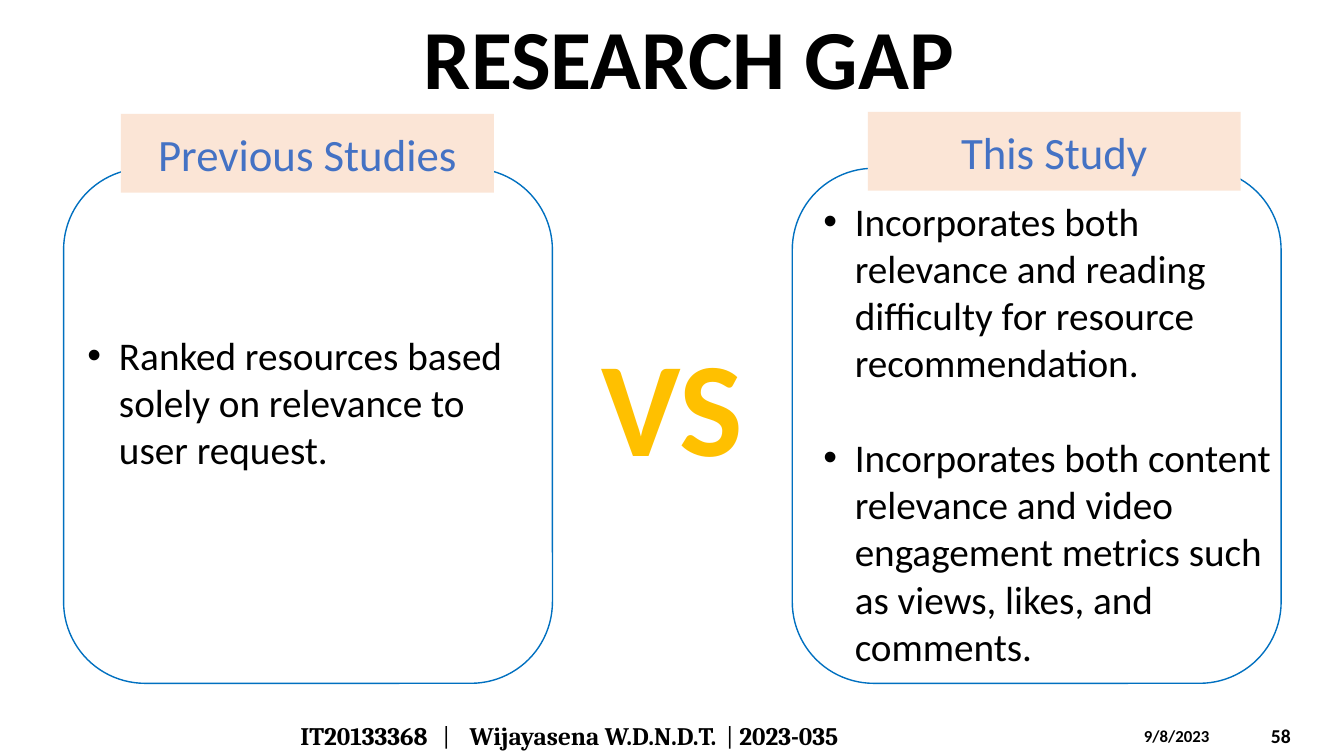
from dataclasses import dataclass

from lxml import etree
from pptx import Presentation
from pptx.dml.color import RGBColor
from pptx.enum.shapes import MSO_SHAPE
from pptx.enum.text import MSO_ANCHOR, PP_ALIGN
from pptx.oxml.ns import qn
from pptx.shapes.autoshape import Shape
from pptx.slide import Slide
from pptx.util import Pt

BLACK = RGBColor(0x00, 0x00, 0x00)
BLUE_LINE = RGBColor(0x00, 0x70, 0xC0)
BLUE_TEXT = RGBColor(0x44, 0x72, 0xC4)
PEACH = RGBColor(0xFB, 0xE5, 0xD6)
GOLD = RGBColor(0xFF, 0xC0, 0x00)

RECTANGLE = MSO_SHAPE.RECTANGLE
ROUNDED = MSO_SHAPE.ROUNDED_RECTANGLE
LEFT, CENTER = PP_ALIGN.LEFT, PP_ALIGN.CENTER
TOP, MIDDLE = MSO_ANCHOR.TOP, MSO_ANCHOR.MIDDLE

BULLET_INDENT = Pt(22.5)
BULLET_GAP = Pt(34.2)
FOOTER_TABS = (101.5, 121, 304)


@dataclass(frozen=True)
class Area:
    left: float
    top: float
    width: float
    height: float


@dataclass(frozen=True)
class Label:
    text: str
    area: Area
    size: float
    color: RGBColor = BLACK
    bold: bool = True
    align: PP_ALIGN = LEFT
    anchor: MSO_ANCHOR = TOP
    spacing: float = 1.0


@dataclass(frozen=True)
class Panel:
    heading: str
    heading_area: Area
    frame_area: Area
    text_area: Area
    points: tuple[str, ...]


TITLE = Label("RESEARCH GAP", Area(77.8, 8.6, 828.7, 70.6), 60, align=CENTER, spacing=0.9)
VERSUS = Label("VS", Area(420.5, 226.8, 119.5, 123.8), 96, GOLD, align=CENTER)
SLIDE_NUMBER = Label("58", Area(900.7, 511.2, 53.3, 28.8), 14, anchor=MIDDLE)
DATE = Label("9/8/2023", Area(810, 514.8, 84.2, 21.6), 12)
FOOTER_AREA = Area(207.4, 511.2, 536.4, 28.8)
FOOTER_SPANS = (
    ("IT20133368", True),
    ("\t|\t", False),
    ("Wijayasena W.D.N.D.T.", True),
    ("\t| ", False),
    ("2023-035", True),
)

PANELS = (
    Panel(
        "Previous Studies",
        Area(86.4, 81.4, 266.4, 56.2),
        Area(45.4, 120.2, 349.2, 367.9),
        Area(55.4, 233.3, 323.3, 108.7),
        ("Ranked resources based solely on relevance to user request.",),
    ),
    Panel(
        "This Study",
        Area(619.9, 79.9, 266.4, 56.2),
        Area(565.9, 120.2, 349.2, 367.9),
        Area(581, 137.5, 341.3, 380.2),
        (
            "Incorporates both relevance and reading difficulty for resource recommendation.",
            "Incorporates both content relevance and video engagement metrics "
            "such as views, likes, and comments.",
        ),
    ),
)


def style_font(font, size: float, color: RGBColor, bold: bool, name: str = "Calibri") -> None:
    font.name = name
    font.size = Pt(size)
    font.bold = bold
    font.color.rgb = color


def add_box(page: Slide, area: Area, anchor: MSO_ANCHOR = TOP) -> Shape:
    box = page.shapes.add_textbox(
        Pt(area.left), Pt(area.top), Pt(area.width), Pt(area.height))
    box.text_frame.word_wrap = True
    box.text_frame.vertical_anchor = anchor
    return box


def add_block(page: Slide, kind: MSO_SHAPE, area: Area) -> Shape:
    block = page.shapes.add_shape(
        kind, Pt(area.left), Pt(area.top), Pt(area.width), Pt(area.height))
    block.shadow.inherit = False
    return block


def fill_label(box: Shape, label: Label) -> None:
    frame = box.text_frame
    frame.text = label.text
    frame.vertical_anchor = label.anchor
    para = frame.paragraphs[0]
    para.alignment = label.align
    para.line_spacing = label.spacing
    style_font(para.runs[0].font, label.size, label.color, label.bold)


def add_label(page: Slide, label: Label) -> None:
    fill_label(add_box(page, label.area), label)


def add_frame(page: Slide, area: Area) -> None:
    frame = add_block(page, ROUNDED, area)
    frame.fill.background()
    frame.line.color.rgb = BLUE_LINE
    frame.line.width = Pt(1)


def add_heading(page: Slide, panel: Panel) -> None:
    block = add_block(page, RECTANGLE, panel.heading_area)
    block.fill.solid()
    block.fill.fore_color.rgb = PEACH
    block.line.fill.background()
    fill_label(block, Label(panel.heading, panel.heading_area, 32, BLUE_TEXT,
                            bold=False, align=CENTER, anchor=MIDDLE))


def add_points(page: Slide, panel: Panel) -> None:
    frame = add_box(page, panel.text_area).text_frame
    frame.text = "\n".join(panel.points)
    for index, para in enumerate(frame.paragraphs):
        properties = para._p.get_or_add_pPr()
        properties.set("marL", str(BULLET_INDENT))
        properties.set("indent", str(-BULLET_INDENT))
        etree.SubElement(properties, qn("a:buFont"), typeface="Arial")
        etree.SubElement(properties, qn("a:buChar"), char="•")
        if index:
            para.space_before = BULLET_GAP
        style_font(para.runs[0].font, 28, BLACK, False)


def add_footer(page: Slide) -> None:
    para = add_box(page, FOOTER_AREA, MIDDLE).text_frame.paragraphs[0]
    stops = etree.SubElement(para._p.get_or_add_pPr(), qn("a:tabLst"))
    for position in FOOTER_TABS:
        etree.SubElement(stops, qn("a:tab"), pos=str(Pt(position)), algn="l")
    for text, bold in FOOTER_SPANS:
        span = para.add_run()
        span.text = text
        style_font(span.font, 18, BLACK, bold, "Cambria")


def main() -> None:
    deck = Presentation()
    deck.slide_width, deck.slide_height = Pt(960), Pt(540)
    page = deck.slides.add_slide(deck.slide_layouts[6])

    # Footer line and title
    add_label(page, SLIDE_NUMBER)
    add_label(page, DATE)
    add_footer(page)
    add_label(page, TITLE)

    # Two compared panels
    for panel in PANELS:
        add_frame(page, panel.frame_area)
    add_label(page, VERSUS)
    for panel in PANELS:
        add_points(page, panel)
    for panel in PANELS:
        add_heading(page, panel)

    deck.save("out.pptx")


if __name__ == "__main__":
    main()
